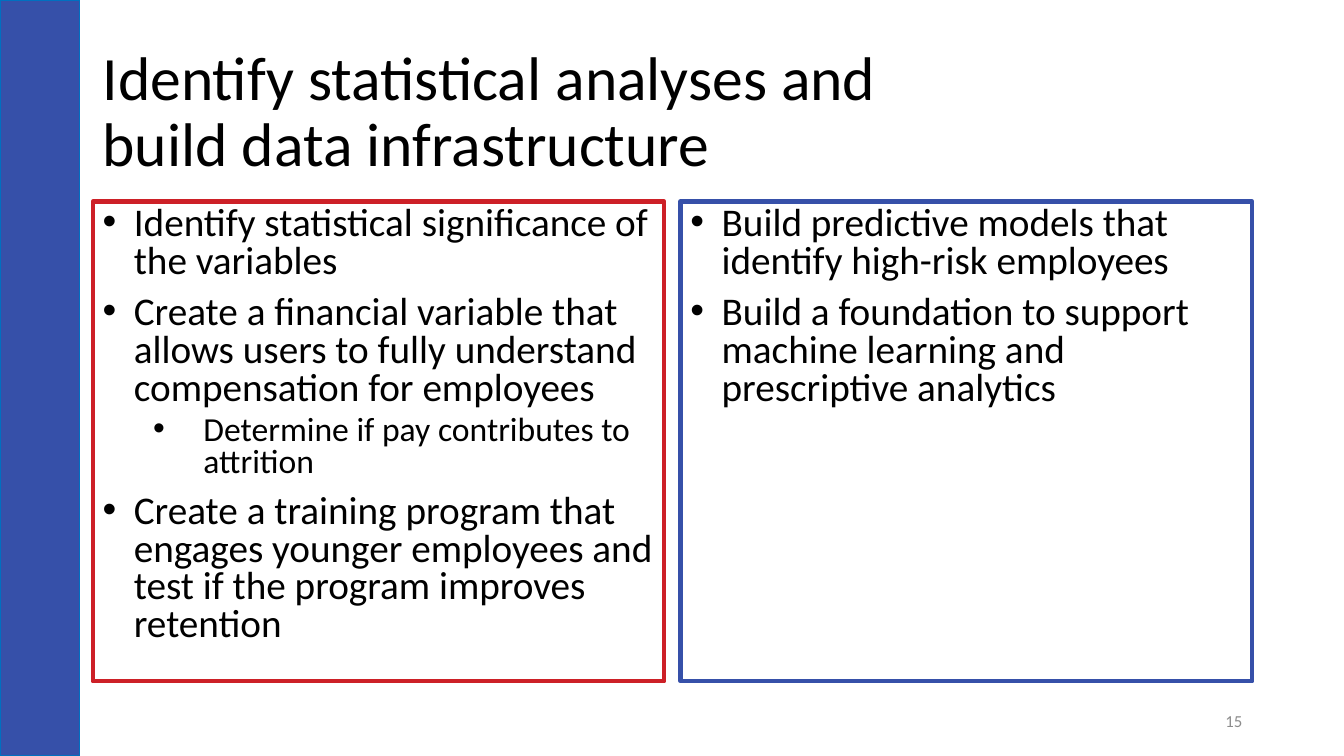
from lxml.etree import SubElement
from pptx import Presentation
from pptx.dml.color import RGBColor
from pptx.enum.shapes import MSO_SHAPE
from pptx.enum.text import MSO_ANCHOR, PP_ALIGN
from pptx.oxml.ns import qn
from pptx.util import Inches, Pt

COLORS = {
    "blue": "3650A9",
    "edge": "0070C0",
    "red": "CD2027",
    "text": "000000",
    "number": "8C8C8C",
}
FONT = "Calibri"

# Per bullet level: size, space before, left indent and hanging indent
LEVELS = [
    {"size": 28, "before": 10, "left": 0.31, "hanging": 0.31},
    {"size": 24, "before": 5, "left": 1, "hanging": 0.5},
]

ANALYSIS_POINTS = [
    (0, "Identify statistical significance of the variables"),
    (0, "Create a financial variable that allows users to fully understand "
        "compensation for employees"),
    (1, "Determine if pay contributes to attrition"),
    (0, "Create a training program that engages younger employees and test "
        "if the program improves retention"),
]
INFRASTRUCTURE_POINTS = [
    (0, "Build predictive models that identify high-risk employees"),
    (0, "Build a foundation to support machine learning and prescriptive analytics"),
]


def rgb(name):
    return RGBColor.from_string(COLORS[name])


def add_rectangle(slide, left, top, width, height, line, weight, fill=None):
    rectangle = slide.shapes.add_shape(
        MSO_SHAPE.RECTANGLE, Inches(left), Inches(top), Inches(width), Inches(height))
    rectangle.shadow.inherit = False
    if fill:
        rectangle.fill.solid()
        rectangle.fill.fore_color.rgb = rgb(fill)
    else:
        rectangle.fill.background()
    rectangle.line.color.rgb = rgb(line)
    rectangle.line.width = Pt(weight)
    return rectangle


def write(paragraph, text, size, color="text", align=PP_ALIGN.LEFT,
          spacing=None, before=None):
    paragraph.text = text
    paragraph.alignment = align
    if spacing is not None:
        paragraph.line_spacing = spacing
    if before is not None:
        paragraph.space_before = Pt(before)
    paragraph.font.name = FONT
    paragraph.font.size = Pt(size)
    paragraph.font.color.rgb = rgb(color)


def add_label(slide, left, top, width, height, text, **text_format):
    label = slide.shapes.add_textbox(
        Inches(left), Inches(top), Inches(width), Inches(height))
    label.text_frame.word_wrap = True
    label.text_frame.vertical_anchor = MSO_ANCHOR.MIDDLE
    write(label.text_frame.paragraphs[0], text, **text_format)


def add_bullet(paragraph, left, hanging):
    properties = paragraph._p.get_or_add_pPr()
    properties.set("marL", str(Inches(left)))
    properties.set("indent", str(-Inches(hanging)))
    SubElement(properties, qn("a:buFont"), typeface="Arial")
    SubElement(properties, qn("a:buChar"), char="•")


def add_panel(slide, left, line, points):
    panel = add_rectangle(slide, left, 2, 5.67, 4.76, line, 3)
    frame = panel.text_frame
    frame.word_wrap = True
    frame.vertical_anchor = MSO_ANCHOR.TOP
    for index, (level, text) in enumerate(points):
        paragraph = frame.add_paragraph() if index else frame.paragraphs[0]
        style = LEVELS[level]
        paragraph.level = level
        add_bullet(paragraph, style["left"], style["hanging"])
        write(paragraph, text, style["size"], spacing=0.8,
              before=style["before"] if index else 0)


def main():
    presentation = Presentation()
    presentation.slide_width = Inches(13.33)
    presentation.slide_height = Inches(7.5)
    slide = presentation.slides.add_slide(presentation.slide_layouts[6])

    # Side band
    add_rectangle(slide, 0, 0, 0.79, 7.5, "edge", 1, fill="blue")

    # Title
    add_label(slide, 0.92, 0.4, 9, 1.45,
              "Identify statistical analyses and build data infrastructure",
              size=44, spacing=0.9)

    # Bullet panels
    add_panel(slide, 0.92, "red", ANALYSIS_POINTS)
    add_panel(slide, 6.75, "blue", INFRASTRUCTURE_POINTS)

    # Slide number
    add_label(slide, 9.42, 6.95, 3, 0.4, "15",
              size=12, color="number", align=PP_ALIGN.RIGHT)

    presentation.save("out.pptx")


if __name__ == "__main__":
    main()
